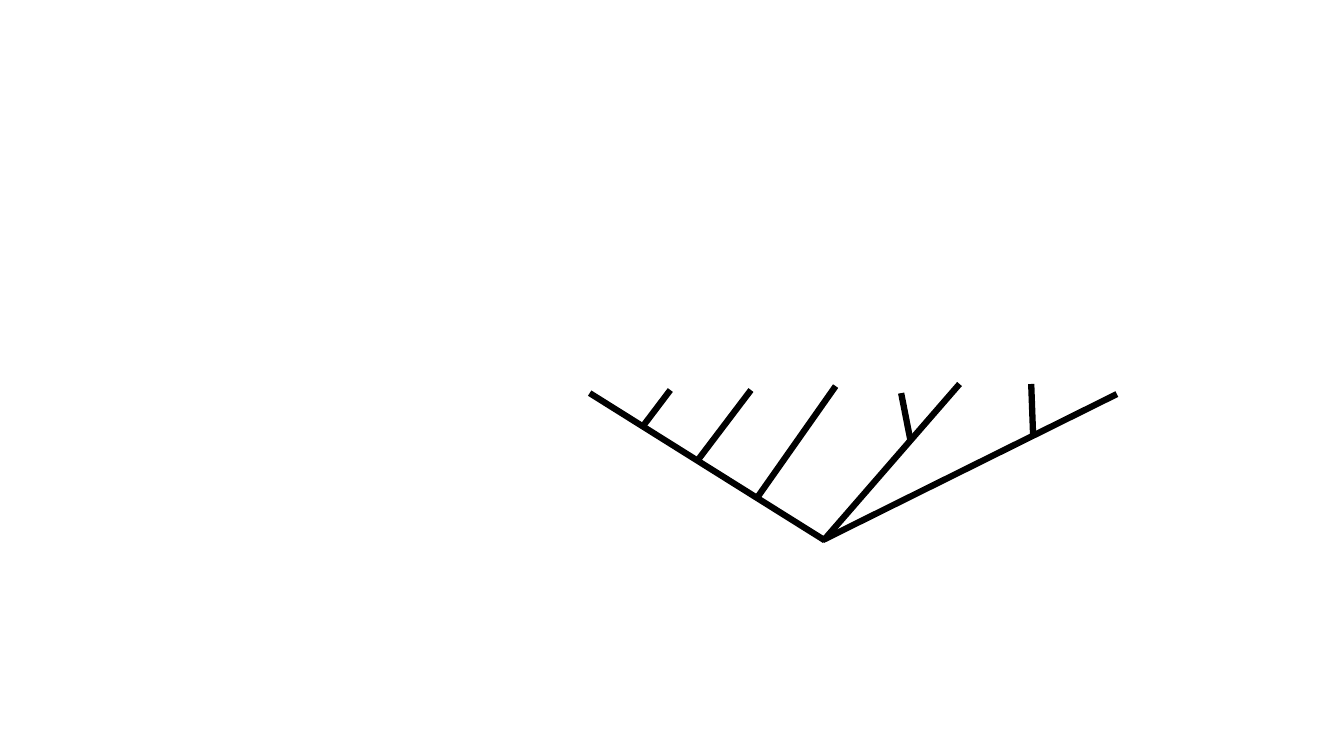
import pptx
import pptx.dml.color
import pptx.enum.shapes
import pptx.oxml.ns
import pptx.util
from lxml import etree

Pt = pptx.util.Pt

COLOURS = {"background": "FFFFFF", "branch": "000000"}
BRANCH_WIDTH = 4.5

# Each branch runs from its tip down to its fork, in points.
MAIN_BRANCHES = [
    ((421.2, 280.8), (589, 385.9)),
    ((685.4, 274.3), (589, 385.2)),
    ((797.8, 281.5), (587.5, 385.9)),
]
SIDE_BRANCHES = [
    ((596.9, 275.8), (540.7, 355.7)),
    ((643.7, 280.8), (650.2, 313.9)),
    ((736.6, 274.3), (738, 312.5)),
    ((536.4, 278.6), (498.2, 329)),
    ((478.8, 278.6), (458.6, 305.3)),
]


def rgb(name):
    return pptx.dml.color.RGBColor.from_string(COLOURS[name])


def add_branch(tree, tip, fork):
    branch = tree.shapes.add_connector(
        pptx.enum.shapes.MSO_CONNECTOR.STRAIGHT,
        *(Pt(value) for value in (*tip, *fork)),
    )
    branch.line.color.rgb = rgb("branch")
    branch.line.width = Pt(BRANCH_WIDTH)
    properties = branch._element.spPr
    etree.SubElement(properties, pptx.oxml.ns.qn("a:effectLst"))


def main():
    deck = pptx.Presentation()
    deck.slide_width, deck.slide_height = Pt(960), Pt(540)
    blank_layout = deck.slide_layouts[6]
    page = deck.slides.add_slide(blank_layout)
    page.background.fill.solid()
    page.background.fill.fore_color.rgb = rgb("background")

    tree = page.shapes.add_group_shape()
    for tip, fork in MAIN_BRANCHES + SIDE_BRANCHES:
        add_branch(tree, tip, fork)

    deck.save("out.pptx")


if __name__ == "__main__":
    main()
